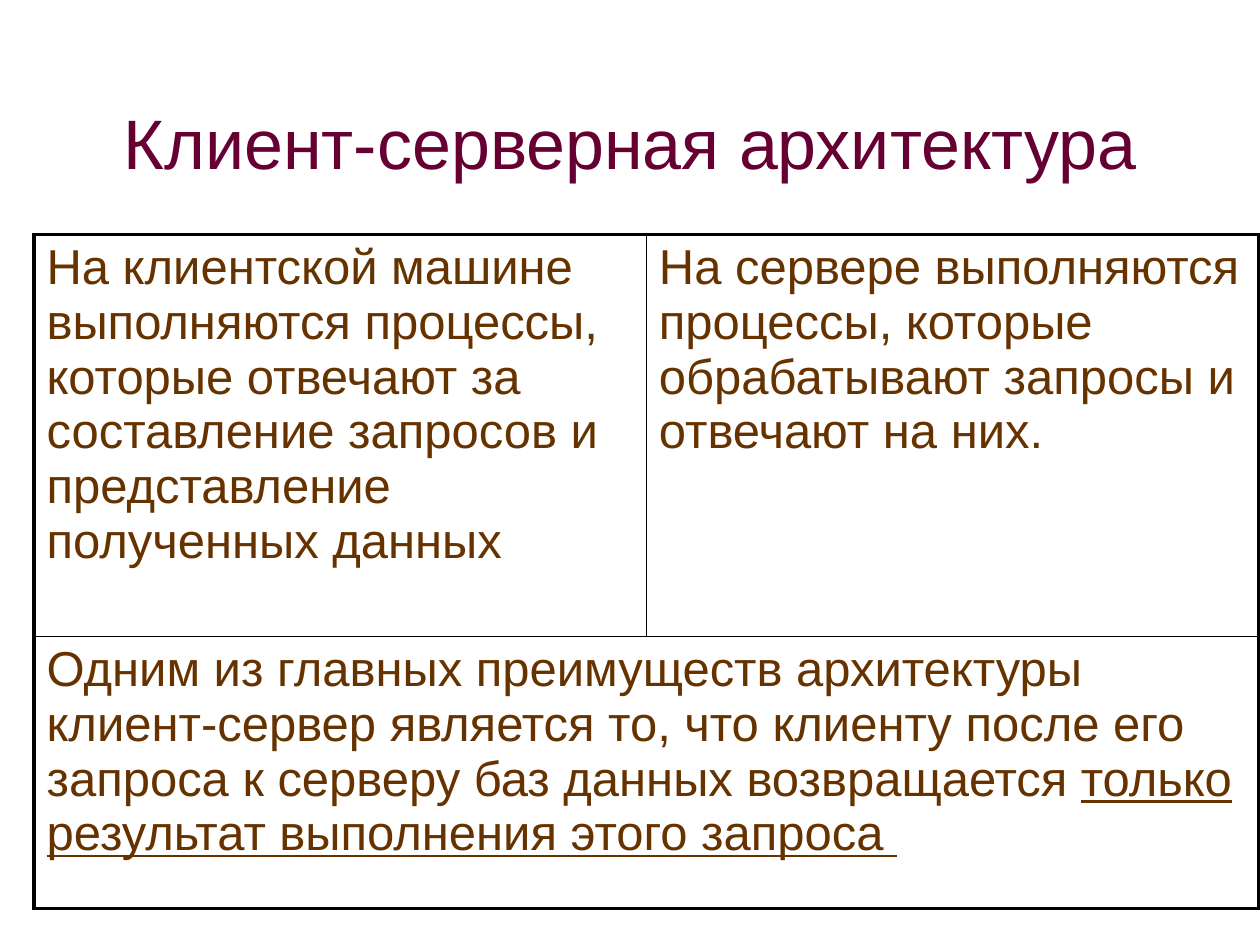
from dataclasses import dataclass

import pptx
import pptx.dml.color
import pptx.enum.text
import pptx.oxml
import pptx.oxml.ns
import pptx.util
from pptx.util import Inches

RGBColor = pptx.dml.color.RGBColor
PLUM = RGBColor(0x66, 0x00, 0x33)
BROWN = RGBColor(0x66, 0x33, 0x00)
BLACK = RGBColor(0x00, 0x00, 0x00)

ROWS = (3.19, 2.16)
COLS = (4.86, 4.86)
OUTER, INNER = 2.25, 1


@dataclass
class Entry:
    row: int
    col: int
    text: str
    underlined: str = ""


ENTRIES = [
    Entry(0, 0, "На клиентской машине выполняются процессы, которые отвечают за "
                "составление запросов и представление полученных данных "),
    Entry(0, 1, "На сервере выполняются процессы, которые обрабатывают запросы "
                "и отвечают на них. "),
    Entry(1, 0, "Одним из главных преимуществ архитектуры клиент-сервер является "
                "то, что клиенту после его запроса к серверу баз данных возвращается ",
          "только результат выполнения этого запроса "),
]


def add_run(p, text: str, size: int, color: RGBColor, **extra) -> None:
    r = p.add_run()
    r.text = text
    for name, value in {"name": "Arial", "size": pptx.util.Pt(size), **extra}.items():
        setattr(r.font, name, value)
    r.font.color.rgb = color


def add_borders(cell, widths: dict[str, float]) -> None:
    tc_pr = cell._tc.get_or_add_tcPr()
    for side, width in widths.items():
        tc_pr.append(pptx.oxml.parse_xml(
            f'<a:ln{side} {pptx.oxml.ns.nsdecls("a")} w="{int(pptx.util.Pt(width))}">'
            f'<a:solidFill><a:srgbClr val="{BLACK}"/></a:solidFill></a:ln{side}>'))


prs = pptx.Presentation()
prs.slide_width, prs.slide_height = Inches(10), Inches(7.5)
s = prs.slides.add_slide(prs.slide_layouts[6])

# Table
table = s.shapes.add_table(len(ROWS), len(COLS), Inches(0.27), Inches(1.86),
                           Inches(sum(COLS)), Inches(sum(ROWS))).table
table.first_row = table.horz_banding = False
for row, height in zip(table.rows, ROWS):
    row.height = Inches(height)
for col, width in zip(table.columns, COLS):
    col.width = Inches(width)
table.cell(1, 0).merge(table.cell(1, 1))

# Heavy outline, thin inner lines, no fill
for i in range(len(ROWS)):
    for j in range(len(COLS)):
        cell = table.cell(i, j)
        last_col = j == len(COLS) - 1 or cell.is_merge_origin
        add_borders(cell, {
            "L": INNER if j else OUTER,
            "R": OUTER if last_col else INNER,
            "T": INNER if i else OUTER,
            "B": OUTER if i == len(ROWS) - 1 else INNER,
        })
        cell.fill.background()

# Cell text
for entry in ENTRIES:
    p = table.cell(entry.row, entry.col).text_frame.paragraphs[0]
    add_run(p, entry.text, 28, BROWN)
    if entry.underlined:
        add_run(p, entry.underlined, 28, BROWN, underline=True)

# Title
tf = s.shapes.add_textbox(Inches(0.69), Inches(0.4), Inches(8.62), Inches(1.45)).text_frame
tf.word_wrap = True
tf.vertical_anchor = pptx.enum.text.MSO_ANCHOR.MIDDLE
p = tf.paragraphs[0]
p.alignment = pptx.enum.text.PP_ALIGN.CENTER
add_run(p, "Клиент-серверная архитектура", 40, PLUM)

prs.save("out.pptx")
